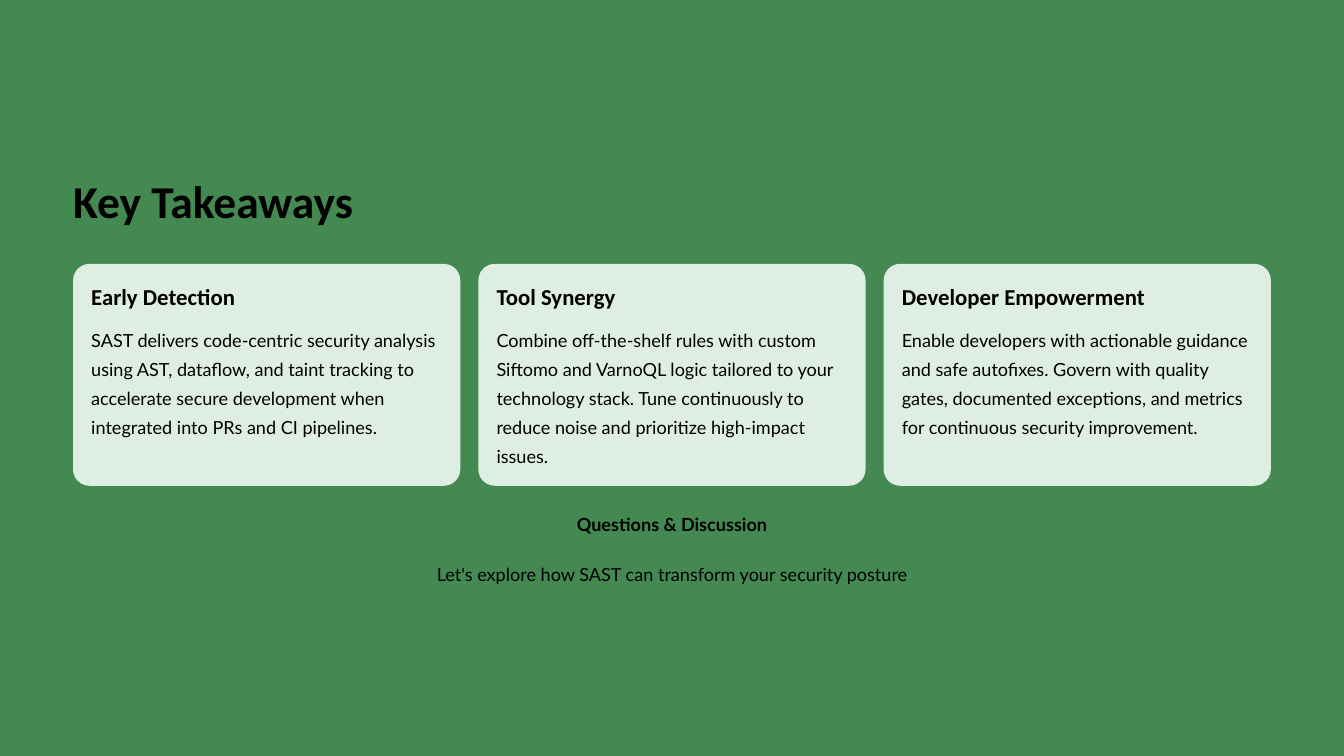
from pptx import Presentation
from pptx.dml.color import RGBColor
from pptx.enum.shapes import MSO_SHAPE as Shape
from pptx.enum.text import PP_ALIGN as Align
from pptx.util import Cm, Pt

COLORS = {"background": "438951", "card": "DFEEE2", "text": "000000"}
LEFT, CONTENT_WIDTH = 2.21, 36.22
CARD_TOP, CARD_WIDTH, CARD_HEIGHT = 7.98, 11.71, 6.71
CARD_PITCH = (CONTENT_WIDTH - CARD_WIDTH) / 2
PADDING = 0.55
CARDS = [
    ("Early Detection", 6.88,
     "SAST delivers code-centric security analysis using AST, dataflow, and taint "
     "tracking to accelerate secure development when integrated into PRs and CI pipelines."),
    ("Tool Synergy", 6.88,
     "Combine off-the-shelf rules with custom Siftomo and VarnoQL logic tailored to your "
     "technology stack. Tune continuously to reduce noise and prioritize high-impact issues."),
    ("Developer Empowerment", 8.89,
     "Enable developers with actionable guidance and safe autofixes. Govern with quality "
     "gates, documented exceptions, and metrics for continuous security improvement."),
]
CLOSING = [
    ("Questions & Discussion", 15.31, True),
    ("Let's explore how SAST can transform your security posture", 16.81, False),
]


def paint(fill, name):
    """Fill with a solid named colour."""
    fill.solid()
    fill.fore_color.rgb = RGBColor.from_string(COLORS[name])


def add_text(page, text, left, top, width, height, *, font="Lato", size=15.5,
             line=25, bold=False, align=Align.LEFT, wrap=False):
    """Add a text box without margins, holding one formatted paragraph."""
    box = page.shapes.add_textbox(Cm(left), Cm(top), Cm(width), Cm(height))
    frame = box.text_frame
    frame.margin_left = frame.margin_right = frame.margin_top = frame.margin_bottom = 0
    frame.word_wrap = wrap
    para = frame.paragraphs[0]
    para.alignment = align
    para.line_spacing = Pt(line)
    span = para.add_run()
    span.text = text
    span.font.name = font
    span.font.size = Pt(size)
    span.font.bold = bold
    span.font.color.rgb = RGBColor.from_string(COLORS["text"])


def add_card(page, left, heading, heading_width, body):
    """Add a rounded card with a heading and a body text."""
    card = page.shapes.add_shape(Shape.ROUNDED_RECTANGLE, Cm(left), Cm(CARD_TOP),
                                 Cm(CARD_WIDTH), Cm(CARD_HEIGHT))
    card.adjustments[0] = 0.074
    card.shadow.inherit = False
    card.line.fill.background()
    paint(card.fill, "card")
    add_text(page, heading, left + PADDING, CARD_TOP + PADDING, heading_width, 0.86,
             font="Calibri", size=19.5, line=24, bold=True)
    add_text(page, body, left + PADDING, 9.73, 10.62, 4.42, wrap=True)


def main():
    """Build the takeaways slide and save it."""
    deck = Presentation()
    deck.slide_width, deck.slide_height = Cm(40.64), Cm(22.86)
    page = deck.slides.add_slide(deck.slide_layouts[6])
    paint(page.background.fill, "background")
    add_text(page, "Key Takeaways", LEFT, 5.16, 13.79, 1.73,
             font="Calibri", size=39, line=48.5, bold=True)
    for index, (heading, heading_width, body) in enumerate(CARDS):
        add_card(page, LEFT + index * CARD_PITCH, heading, heading_width, body)
    for text, top, bold in CLOSING:
        add_text(page, text, LEFT, top, CONTENT_WIDTH, 0.89, bold=bold, align=Align.CENTER)
    deck.save("out.pptx")


if __name__ == "__main__":
    main()
